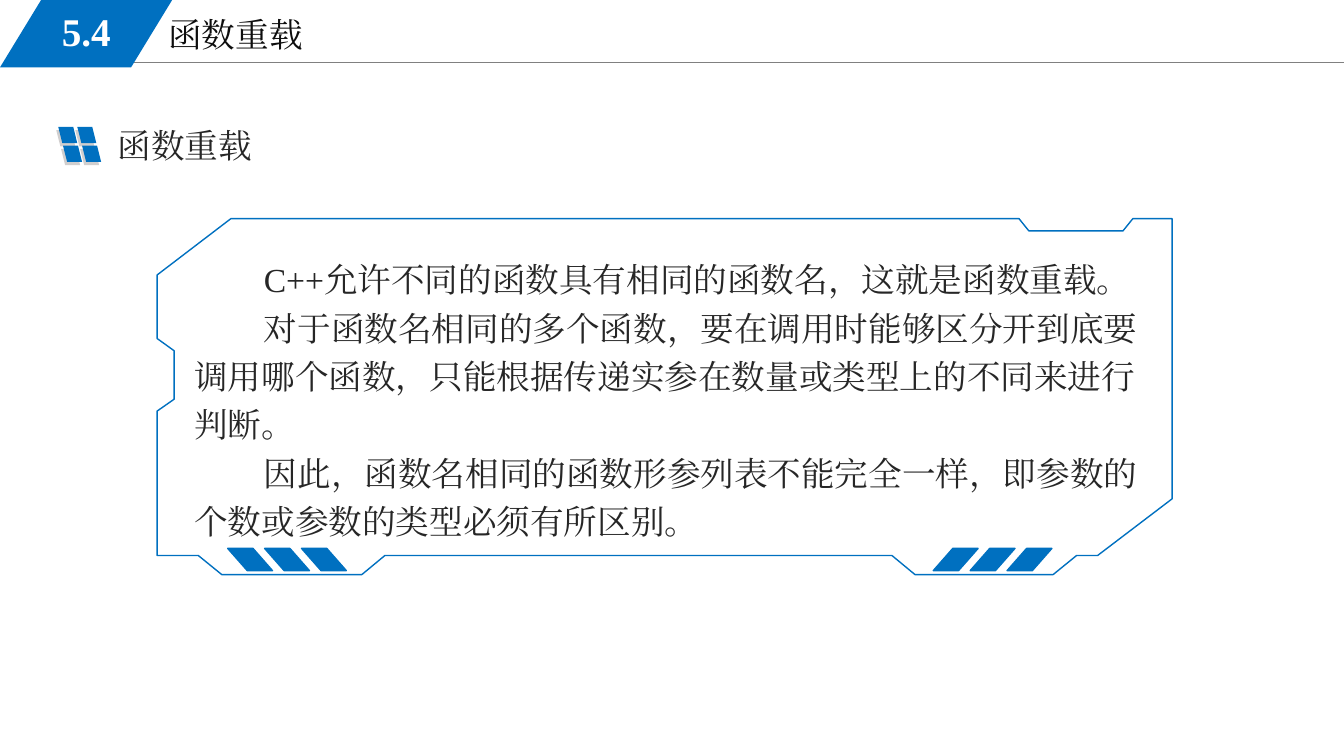
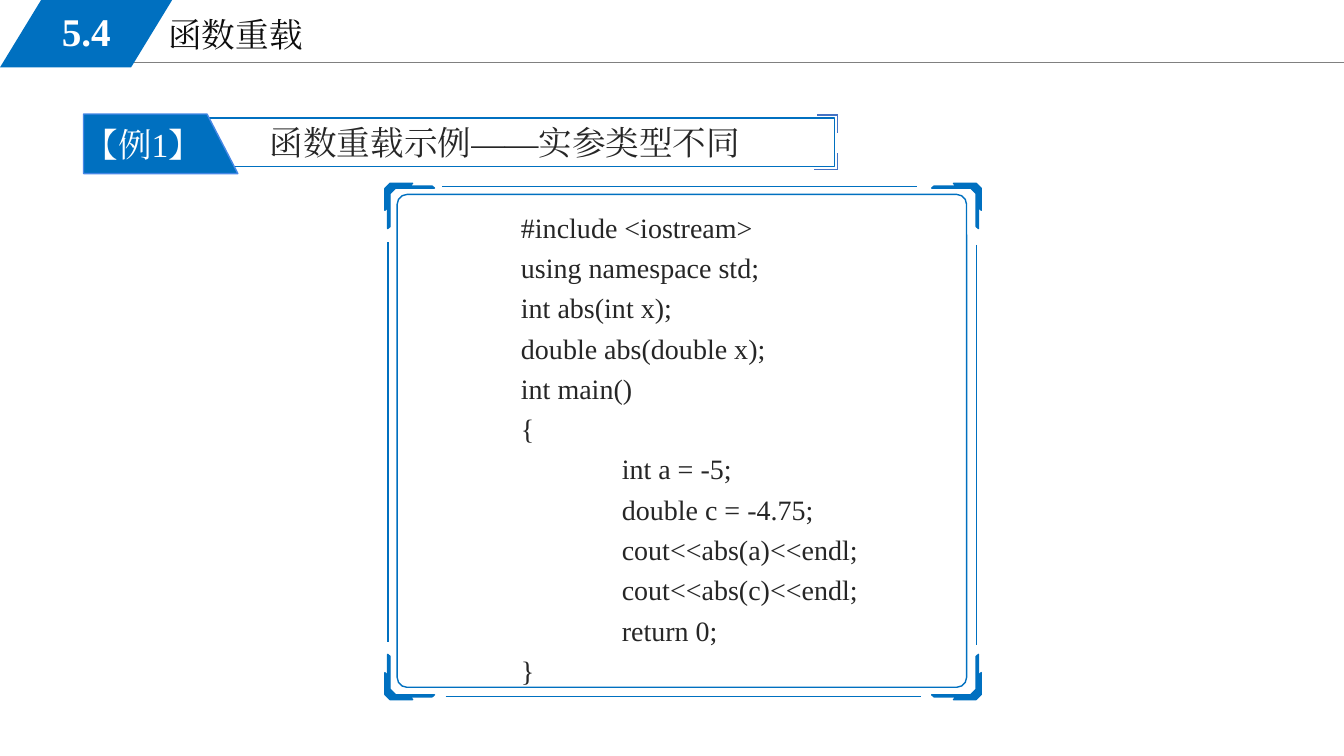
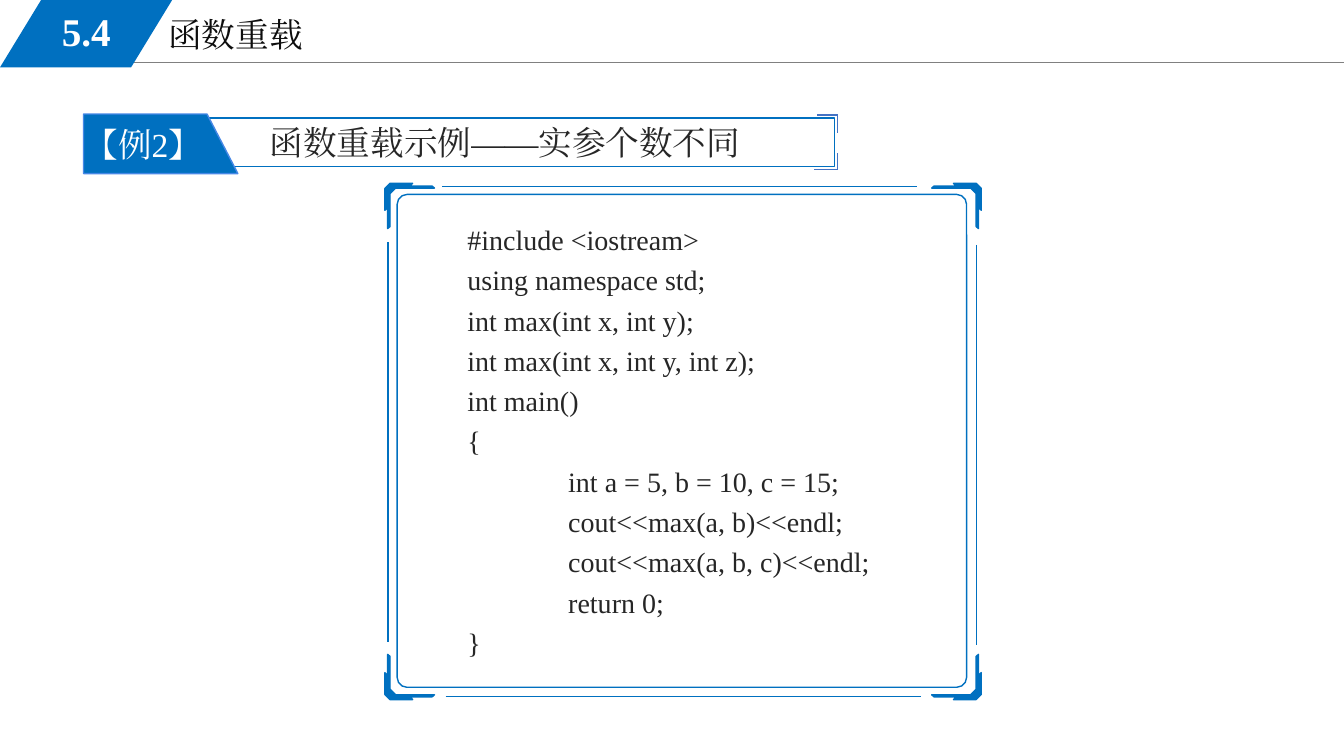
import dataclasses

import lxml.etree
import pptx
import pptx.dml.color
import pptx.enum.shapes
import pptx.enum.text
import pptx.oxml.ns
import pptx.util

Cm = pptx.util.Cm
Pt = pptx.util.Pt
RGB = pptx.dml.color.RGBColor.from_string
KIND = pptx.enum.shapes.MSO_SHAPE
ALIGN = pptx.enum.text.PP_ALIGN
ANCHOR = pptx.enum.text.MSO_ANCHOR
qn = pptx.oxml.ns.qn


# Colours, fonts and sizes
@dataclasses.dataclass(frozen=True)
class Theme:
    blue: str = "0070C0"
    edge: str = "4788E6"
    trim: str = "4472C4"
    shade: str = "D0CECE"
    rule: str = "808080"
    white: str = "FFFFFF"
    title: str = "0D0D0D"
    ink: str = "262626"
    font: str = "Times New Roman"
    code: int = 20
    body: int = 24
    label: int = 28
    thin: float = 0.75
    line: float = 1


THEME = Theme()

# One frame corner, as offsets inward from its outer point
CORNER = [(0.13, 0), (0.7, 0), (0.63, 0.07), (1.19, 0.07), (1.25, 0.12),
          (0.27, 0.12), (0.13, 0.26), (0.13, 1.09), (0.07, 1.14),
          (0.07, 0.61), (0, 0.68), (0, 0.13)]

# Outline of the panel around the body text
PANEL = [(23.06, 14.48), (26.54, 14.48), (27.13, 14), (27.66, 14),
         (29.54, 12.57), (29.54, 5.51), (28.55, 5.51), (28.3, 5.82),
         (25.93, 5.82), (25.68, 5.51), (5.82, 5.51), (3.96, 6.93),
         (3.96, 8.53), (4.39, 8.84), (4.39, 10.06), (3.96, 10.36),
         (3.96, 14), (5, 14), (5.59, 14.48), (9.12, 14.48), (9.7, 14),
         (22.48, 14)]

BODY = """C++允许不同的函数具有相同的函数名，这就是函数重载。
对于函数名相同的多个函数，要在调用时能够区分开到底要调用哪个函数，只能根据传递实参在数量或类型上的不同来进行判断。
因此，函数名相同的函数形参列表不能完全一样，即参数的个数或参数的类型必须有所区别。"""

ABS_CODE = """#include <iostream>
using namespace std;
int abs(int x);
double abs(double x);
int main()
{
\tint a = -5;
\tdouble c = -4.75;
\tcout<<abs(a)<<endl;
\tcout<<abs(c)<<endl;
\treturn 0;
}"""

MAX_CODE = """#include <iostream>
using namespace std;
int max(int x, int y);
int max(int x, int y, int z);
int main()
{
\tint a = 5, b = 10, c = 15;
\tcout<<max(a, b)<<endl;
\tcout<<max(a, b, c)<<endl;
\treturn 0;
}"""


# Basic elements
def paint(shape, fill=None, line=None):
    shape.shadow.inherit = False
    if fill:
        shape.fill.solid()
        shape.fill.fore_color.rgb = RGB(fill)
    else:
        shape.fill.background()
    if line:
        shape.line.color.rgb = RGB(line)
        shape.line.width = Pt(THEME.line)
    else:
        shape.line.fill.background()


def block(slide, kind, box, fill=None, line=None, adjust=None, turn=0, flip=False):
    shape = slide.shapes.add_shape(kind, *map(Cm, box))
    paint(shape, fill, line)
    if adjust is not None:
        shape.adjustments[0] = adjust
    shape.rotation = turn
    if flip:
        shape._element.spPr.xfrm.set("flipH", "1")


def outline(slide, points, fill=None):
    points = [(Cm(x), Cm(y)) for x, y in points]
    form = slide.shapes.build_freeform(*points[0])
    form.add_line_segments(points[1:], close=True)
    paint(form.convert_to_shape(), fill, THEME.blue)


def stroke(slide, ends, color, width=THEME.line):
    line = slide.shapes.add_connector(
        pptx.enum.shapes.MSO_CONNECTOR.STRAIGHT, *map(Cm, ends))
    line.line.color.rgb = RGB(color)
    line.line.width = Pt(width)
    lxml.etree.SubElement(line._element.spPr, qn("a:effectLst"))


def write(slide, text, box, size=THEME.body, color=THEME.ink, bold=False,
          align=ALIGN.LEFT, anchor=ANCHOR.TOP, inset=0.25, space=None,
          indent=0, tab=0):
    frame = slide.shapes.add_textbox(*map(Cm, box)).text_frame
    frame.word_wrap = True
    frame.vertical_anchor = anchor
    frame.margin_left = frame.margin_right = Cm(inset)
    for index, row in enumerate(text.split("\n")):
        para = frame.paragraphs[0] if index == 0 else frame.add_paragraph()
        para.alignment = align
        if space:
            para.line_spacing = space
        props = para._p.get_or_add_pPr()
        if indent:
            props.set("marL", "0")
            props.set("indent", str(Cm(indent)))
        if tab:
            stops = lxml.etree.SubElement(props, qn("a:tabLst"))
            lxml.etree.SubElement(stops, qn("a:tab"), pos=str(Cm(tab)), algn="l")
        run = para.add_run()
        run.text = row
        run.font.size = Pt(size)
        run.font.bold = bold
        run.font.color.rgb = RGB(color)
        run.font.name = THEME.font
        mark = run._r.get_or_add_rPr()
        mark.set("lang", "zh-CN")
        lxml.etree.SubElement(mark, qn("a:ea"), typeface=THEME.font)


# Parts of the slides
def header(slide):
    stroke(slide, (2.87, 1.57, 33.87, 1.57), THEME.rule, THEME.thin)
    write(slide, "函数重载", (3.96, 0.23, 14.4, 1.3), color=THEME.title, inset=0.28)
    block(slide, KIND.PARALLELOGRAM, (0, 0, 4.34, 1.7), THEME.blue, adjust=0.61)
    write(slide, "5.4", (0.64, 0.05, 3.07, 1.47), size=THEME.label,
          color=THEME.white, bold=True, align=ALIGN.CENTER,
          anchor=ANCHOR.MIDDLE, inset=0.28)


def heading(slide, text):
    # Four tiles over their shade
    for left, top, fill in ((1.42, 3.28, THEME.shade), (1.47, 3.2, THEME.blue)):
        for col in range(2):
            for row in range(2):
                spot = left + 0.48 * col + 0.12 * row, top + 0.47 * row
                block(slide, KIND.PARALLELOGRAM, (*spot, 0.48, 0.41), fill, flip=True)
    write(slide, text, (2.72, 3.02, 4.19, 1.27))


def panel(slide):
    outline(slide, PANEL)
    for left, flip in ((23.52, False), (5.74, True)):
        for step in range(3):
            block(slide, KIND.PARALLELOGRAM, (left + 0.93 * step, 13.82, 1.13, 0.56),
                  THEME.blue, THEME.blue, adjust=0.88, flip=flip)


def banner(slide, label, title):
    block(slide, KIND.RECTANGLE, (2.13, 2.97, 18.9, 1.22), line=THEME.blue)
    block(slide, KIND.FLOWCHART_MANUAL_INPUT, (3.3, 1.68, 1.5, 3.89),
          THEME.blue, THEME.edge, turn=90)
    write(slide, label, (1.88, 3, 4.11, 1.27), color=THEME.white)
    write(slide, title, (6.55, 2.95, 13.89, 1.27))
    for ends in ((20.6, 2.9, 21.13, 2.9), (21.11, 2.9, 21.11, 3.35),
                 (21.11, 3.86, 21.11, 4.27), (21.11, 4.27, 20.52, 4.27)):
        stroke(slide, ends, THEME.trim)


def border(slide):
    block(slide, KIND.ROUNDED_RECTANGLE, (10.01, 4.9, 14.35, 12.42),
          line=THEME.blue, adjust=0.02)
    for left, across in ((9.7, 1), (24.73, -1)):
        for top, down in ((4.62, 1), (17.63, -1)):
            outline(slide, [(left + across * x, top + down * y) for x, y in CORNER],
                    THEME.blue)
    for ends in ((11.15, 4.7, 23.11, 4.7), (11.23, 17.55, 23.22, 17.55),
                 (9.78, 6.1, 9.78, 16.18), (24.61, 6.17, 24.61, 16.26)):
        stroke(slide, ends, THEME.blue)


def sample(slide, label, title, code, box):
    write(slide, code, box, size=THEME.code, space=1.2, tab=2.54)
    banner(slide, label, title)
    border(slide)


def main():
    deck = pptx.Presentation()
    deck.slide_width, deck.slide_height = Cm(33.87), Cm(19.05)
    blank = deck.slide_layouts[6]
    intro, types, counts = [deck.slides.add_slide(blank) for _ in range(3)]
    for slide in deck.slides:
        header(slide)

    # Definition
    write(intro, BODY, (4.65, 6.2, 24.56, 8.76), space=1.2, indent=1.75)
    heading(intro, "函数重载")
    panel(intro)

    # Examples
    sample(types, "【例1】", "函数重载示例——实参类型不同", ABS_CODE,
           (12.88, 5, 16, 5.99))
    sample(counts, "【例2】", "函数重载示例——实参个数不同", MAX_CODE,
           (11.53, 5.31, 16, 11.79))
    deck.save("out.pptx")


if __name__ == "__main__":
    main()
